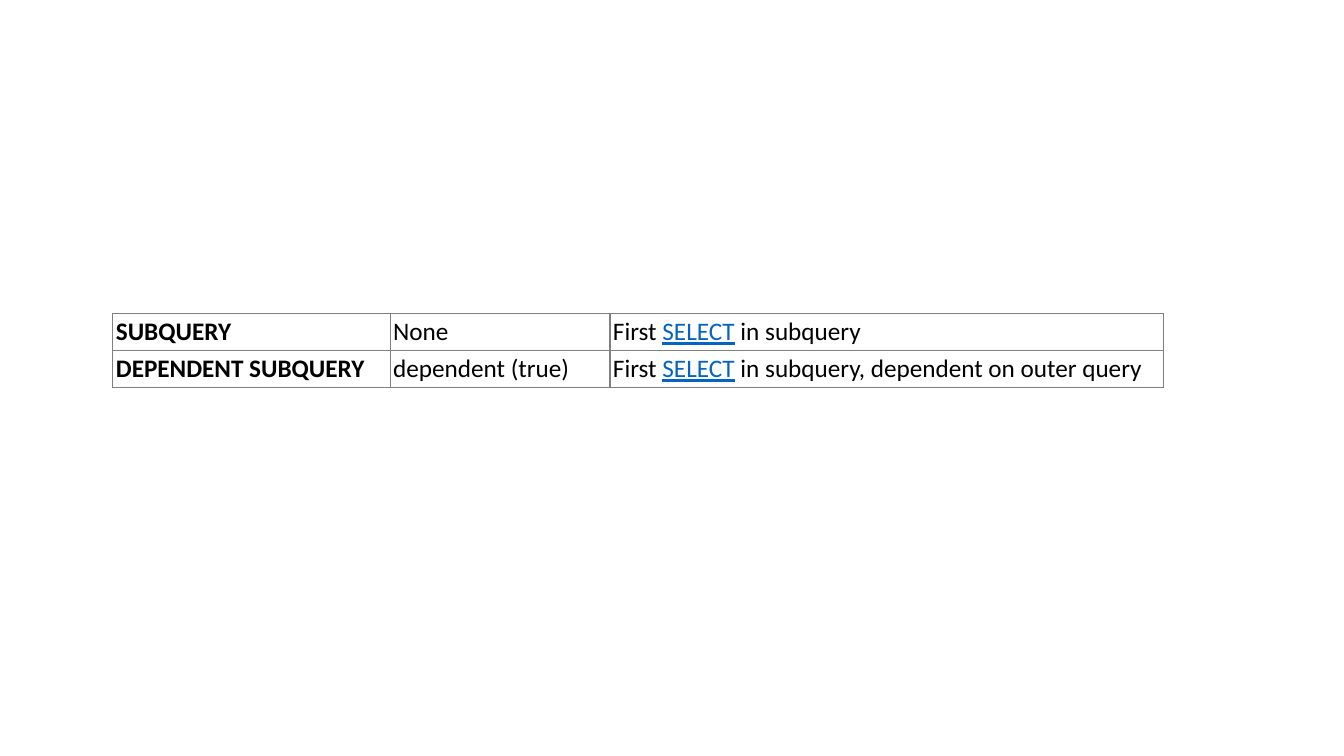
from dataclasses import dataclass

from lxml.etree import SubElement
from pptx import Presentation
from pptx.dml.color import RGBColor
from pptx.oxml.ns import qn
from pptx.table import _Cell
from pptx.util import Inches, Pt

WIDE, HIGH = 13.33, 7.5
LEFT, TOP = 0.084 * WIDE, 0.415 * HIGH
COLS = (2.75, 2.18, 5.49)
ROW = 0.36
INK, LINK, EDGE, PAPER = "000000", "0563C1", "808080", "FFFFFF"


@dataclass(frozen=True)
class Kind:
    """One kind of subquery, its property and what it selects."""
    name: str
    prop: str
    scope: str


KINDS = (
    Kind("SUBQUERY", "None", "\u00a0in subquery"),
    Kind("DEPENDENT SUBQUERY", "dependent\u00a0(true)",
         "\u00a0in subquery, dependent on outer query"),
)


def color(code: str) -> RGBColor:
    """Turn a hex string into a colour."""
    return RGBColor.from_string(code)


def border(cell: _Cell) -> None:
    """Draw a thin line on all four sides of a cell."""
    props = cell._tc.get_or_add_tcPr()
    for side in ("lnL", "lnR", "lnT", "lnB"):
        line = SubElement(props, qn(f"a:{side}"), w=str(Pt(1)))
        fill = SubElement(line, qn("a:solidFill"))
        SubElement(fill, qn("a:srgbClr"), val=EDGE)


def write(cell: _Cell, parts: tuple[str, ...], bold: bool) -> None:
    """Style a cell and fill it, with SELECT set as a link."""
    border(cell)
    cell.fill.solid()
    cell.fill.fore_color.rgb = color(PAPER)
    cell.margin_left = cell.margin_right = Inches(0.03)
    cell.margin_top = cell.margin_bottom = Inches(0.03)
    para = cell.text_frame.paragraphs[0]
    para.font.name, para.font.size, para.font.bold = "Calibri", Pt(18), bold
    for part in parts:
        run = para.add_run()
        run.text = part
        linked = part == "SELECT"
        run.font.color.rgb = color(LINK if linked else INK)
        if linked:
            run.font.underline = True


def main() -> None:
    """Build the slide and save it."""
    deck = Presentation()
    deck.slide_width, deck.slide_height = Inches(WIDE), Inches(HIGH)
    slide = deck.slides.add_slide(deck.slide_layouts[6])
    table = slide.shapes.add_table(
        len(KINDS), len(COLS), Inches(LEFT), Inches(TOP),
        Inches(sum(COLS)), Inches(ROW * len(KINDS))).table
    table.first_row = table.horz_banding = False
    for col, width in zip(table.columns, COLS):
        col.width = Inches(width)
    for row, kind in enumerate(KINDS):
        texts = ((kind.name,), (kind.prop,),
                 ("First\u00a0", "SELECT", kind.scope))
        for col, parts in enumerate(texts):
            write(table.cell(row, col), parts, bold=col == 0)
    deck.save("out.pptx")


main()
